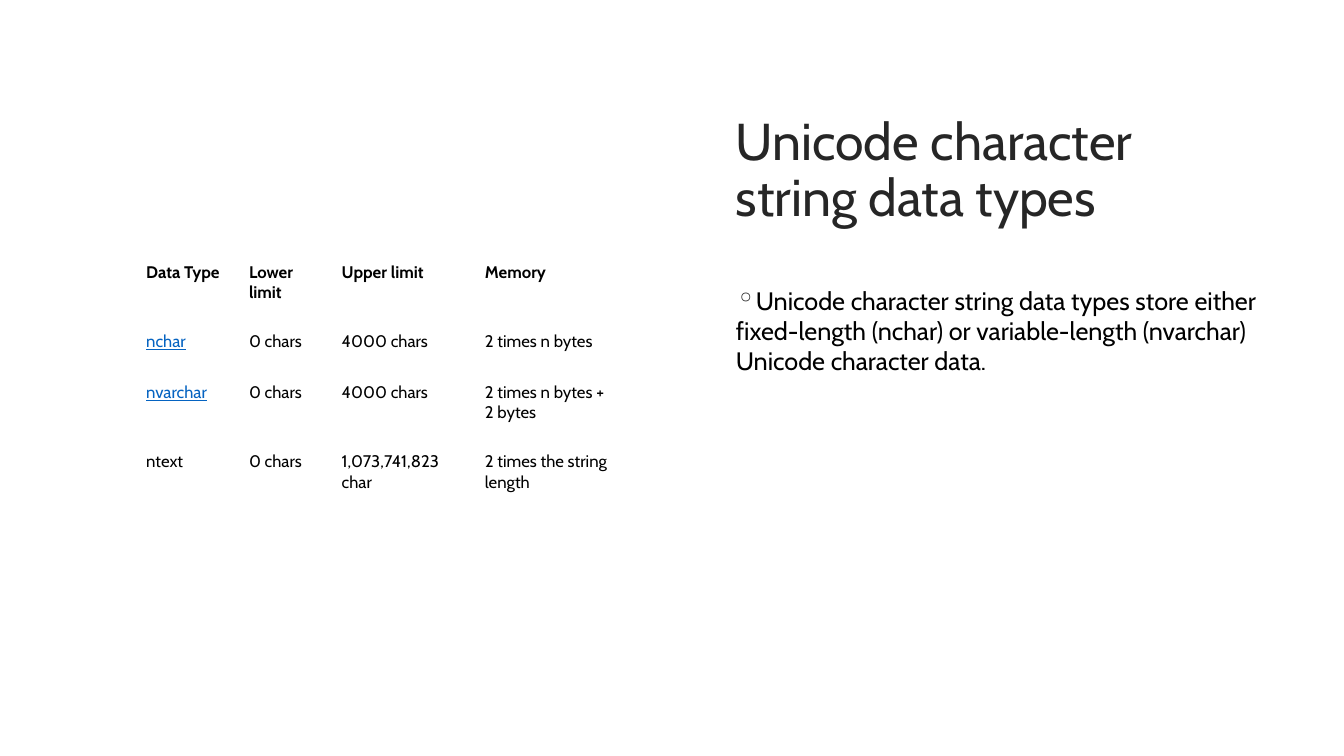
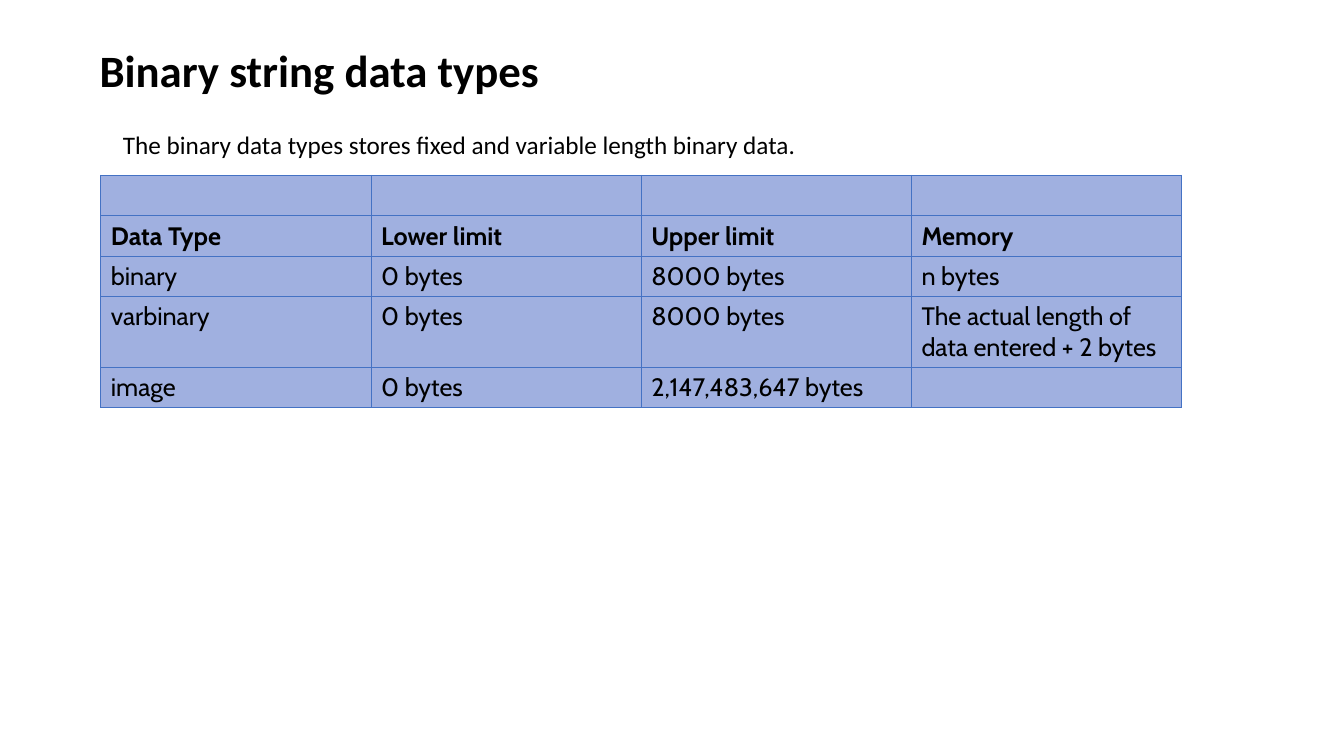
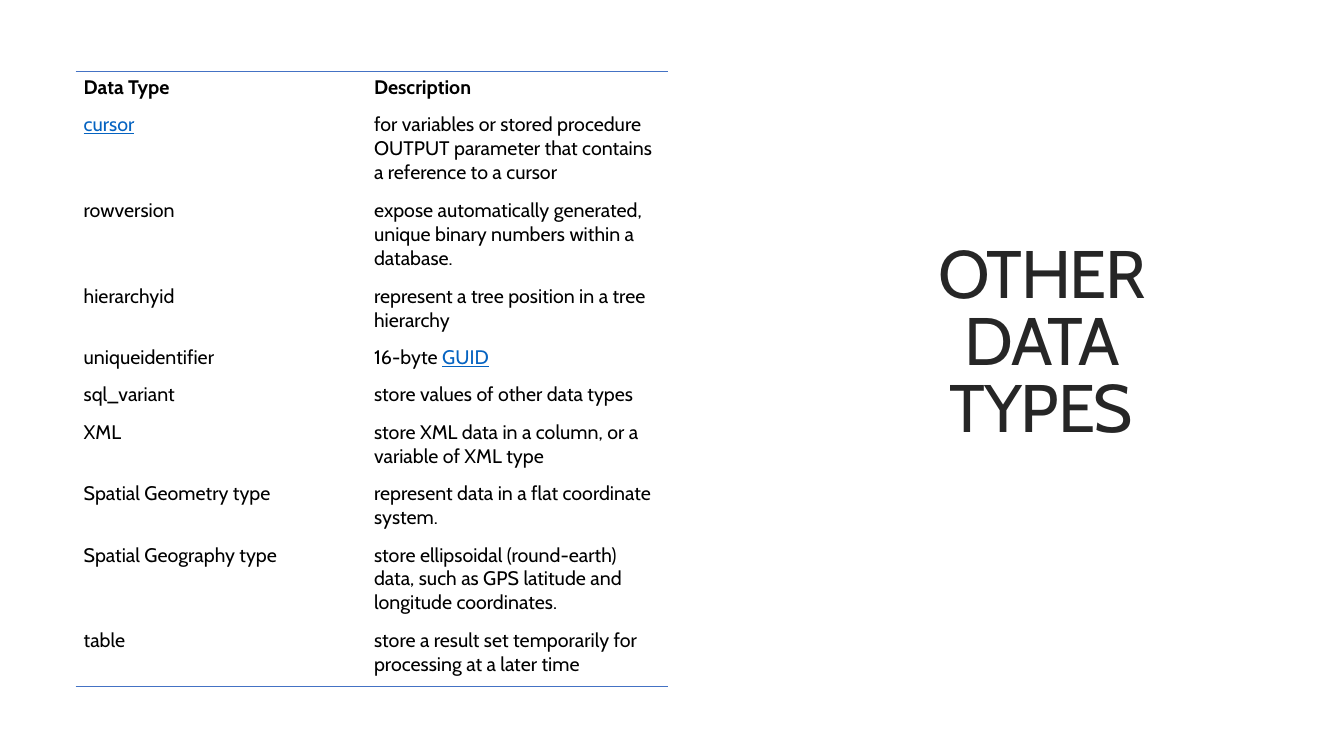
"""Builds three slides on database data types."""
from lxml import etree
from pptx import Presentation
from pptx.dml.color import RGBColor
from pptx.enum.text import MSO_ANCHOR, PP_ALIGN
from pptx.oxml.ns import qn
from pptx.util import Pt

TOP, MIDDLE = MSO_ANCHOR.TOP, MSO_ANCHOR.MIDDLE
LEFT, CENTER = PP_ALIGN.LEFT, PP_ALIGN.CENTER

EMU_PER_PX = 9144
SLIDE_SIZE = (1333, 750)
MAIN_FONT, PLAIN_FONT = "Cabin", "Calibri"
INK, TITLE_INK, LINK_INK = "000000", "262626", "0563C1"
RULE, CELL_FILL = "4472C4", "A0B0E0"
TITLE_STYLE = {"color": TITLE_INK, "anchor": MIDDLE, "after": 6}

LINKED = {"nchar", "nvarchar", "cursor", "GUID"}

UNICODE_TITLE = "Unicode character string data types"
UNICODE_NOTE = ("Unicode character string data types store either fixed-length (nchar) "
                "or variable-length (nvarchar) Unicode character data.")
UNICODE_ROWS = [
    ("Data Type", "Lower limit", "Upper limit", "Memory"),
    ("nchar", "0 chars", "4000 chars", "2 times n bytes"),
    ("nvarchar", "0 chars", "4000 chars", "2 times n bytes + 2 bytes"),
    ("ntext", "0 chars", "1,073,741,823 char", "2 times the string length"),
]

BINARY_TITLE = "Binary string data types"
BINARY_NOTE = "The binary data types stores fixed and variable length binary data."
BINARY_ROWS = [
    ("", "", "", ""),
    ("Data Type", "Lower limit", "Upper limit", "Memory"),
    ("binary", "0 bytes", "8000 bytes", "n bytes"),
    ("varbinary", "0 bytes", "8000 bytes", "The actual length of data entered + 2 bytes"),
    ("image", "0 bytes", "2,147,483,647 bytes", ""),
]

OTHER_TITLE = "OTHER DATA TYPES"
OTHER_ROWS = [
    ("Data Type", "Description"),
    ("cursor", "for variables or stored procedure OUTPUT parameter that contains "
               "a reference to a cursor"),
    ("rowversion", "expose automatically generated, unique binary numbers within a database."),
    ("hierarchyid", "represent a tree position in a tree hierarchy"),
    ("uniqueidentifier", ("16-byte ", "GUID")),
    ("sql_variant", "store values of other data types"),
    ("XML", "store XML data in a column, or a variable of XML type"),
    ("Spatial Geometry type", "represent data in a flat coordinate system."),
    ("Spatial Geography type", "store ellipsoidal (round-earth) data, such as GPS latitude "
                               "and longitude coordinates."),
    ("table", "store a result set temporarily for processing at a later time"),
]


def px(length):
    return round(length * EMU_PER_PX)


def rgb(hex_color):
    return RGBColor.from_string(hex_color)


def write_text(frame, text, size=18, font=MAIN_FONT, color=INK, bold=False, align=LEFT,
               anchor=TOP, line=1.0, after=0, tracking=0, bullet=None):
    frame.vertical_anchor = anchor
    paragraph = frame.paragraphs[0]
    paragraph.alignment = align
    paragraph.line_spacing = line
    paragraph.space_after = Pt(after)
    if bullet:
        add_bullet(paragraph, bullet)
    for part in (text,) if isinstance(text, str) else text:
        run = paragraph.add_run()
        run.text = part
        linked = part in LINKED
        run.font.size, run.font.name = Pt(size), font
        run.font.bold, run.font.underline = bold, linked
        run.font.color.rgb = rgb(LINK_INK if linked else color)
        if tracking:
            run._r.get_or_add_rPr().set("spc", str(tracking * 100))


def add_bullet(paragraph, symbol):
    properties = paragraph._p.get_or_add_pPr()
    properties.set("marL", "0")
    properties.set("indent", str(px(-20)))
    bullet_color = etree.SubElement(properties, qn("a:buClr"))
    etree.SubElement(bullet_color, qn("a:srgbClr"), val=TITLE_INK)
    etree.SubElement(properties, qn("a:buChar"), char=symbol)


def add_text(slide, box, text, wrap=True, **style):
    frame = slide.shapes.add_textbox(*map(px, box)).text_frame
    frame.word_wrap = wrap
    write_text(frame, text, **style)


def set_borders(cell, edges, width):
    properties = cell._tc.get_or_add_tcPr()
    for edge in "LRTB":
        border = etree.SubElement(properties, qn("a:ln" + edge), w=str(Pt(width)))
        if edge in edges:
            paint = etree.SubElement(border, qn("a:solidFill"))
            etree.SubElement(paint, qn("a:srgbClr"), val=RULE)
        else:
            etree.SubElement(border, qn("a:noFill"))


def add_data_table(slide, origin, widths, heights, rows, size, insets=(10, 5), header=0,
                   fill=None, grid=False, end_rules=False):
    box = (*origin, sum(widths), sum(heights))
    table = slide.shapes.add_table(len(rows), len(widths), *map(px, box)).table
    table.first_row = table.horz_banding = False
    for column, width in zip(table.columns, widths):
        column.width = px(width)
    last = len(rows) - 1
    for index, (row, height, texts) in enumerate(zip(table.rows, heights, rows)):
        row.height = px(height)
        edges = "LRTB" if grid else ""
        if end_rules:
            edges = {0: "T", last: "B"}.get(index, "")
        for cell, text in zip(row.cells, texts):
            cell.margin_left = cell.margin_right = px(insets[0])
            cell.margin_top = cell.margin_bottom = px(insets[1])
            set_borders(cell, edges, 0.75 if grid else 1)
            if fill:
                cell.fill.solid()
                cell.fill.fore_color.rgb = rgb(fill)
            else:
                cell.fill.background()
            if text:
                write_text(cell.text_frame, text, size=size, bold=index == header)


def build_unicode(slide):
    add_text(slide, (720, 80, 542, 180), UNICODE_TITLE, size=37, line=0.9, **TITLE_STYLE)
    add_text(slide, (720, 278, 542, 382), UNICODE_NOTE, after=6, bullet="◦")
    add_data_table(slide, (132, 247), (102, 92, 142, 148), (69, 50, 69, 69),
                   UNICODE_ROWS, size=12, insets=(13, 13))


def build_binary(slide):
    add_text(slide, (89, 37, 460, 64), BINARY_TITLE, wrap=False, size=32,
             font=PLAIN_FONT, bold=True)
    add_data_table(slide, (100, 174), [268] * 4, (40, 40, 40, 70, 40), BINARY_ROWS,
                   size=18, header=1, fill=CELL_FILL, grid=True)
    add_text(slide, (112, 123, 695, 40), BINARY_NOTE, wrap=False, font=PLAIN_FONT)


def build_other(slide):
    add_text(slide, (870, 171, 326, 343), OTHER_TITLE, size=48, align=CENTER, line=0.83,
             tracking=-1, **TITLE_STYLE)
    one, two, three = 37, 61, 85
    heights = (one, three, three, two, one, one, two, two, three, two)
    add_data_table(slide, (75, 71), (288, 300), heights, OTHER_ROWS, size=14,
                   insets=(8, 4), end_rules=True)


def main():
    deck = Presentation()
    deck.slide_width, deck.slide_height = map(px, SLIDE_SIZE)
    blank = deck.slide_layouts[6]
    for build in (build_unicode, build_binary, build_other):
        build(deck.slides.add_slide(blank))
    deck.save("out.pptx")


if __name__ == "__main__":
    main()
